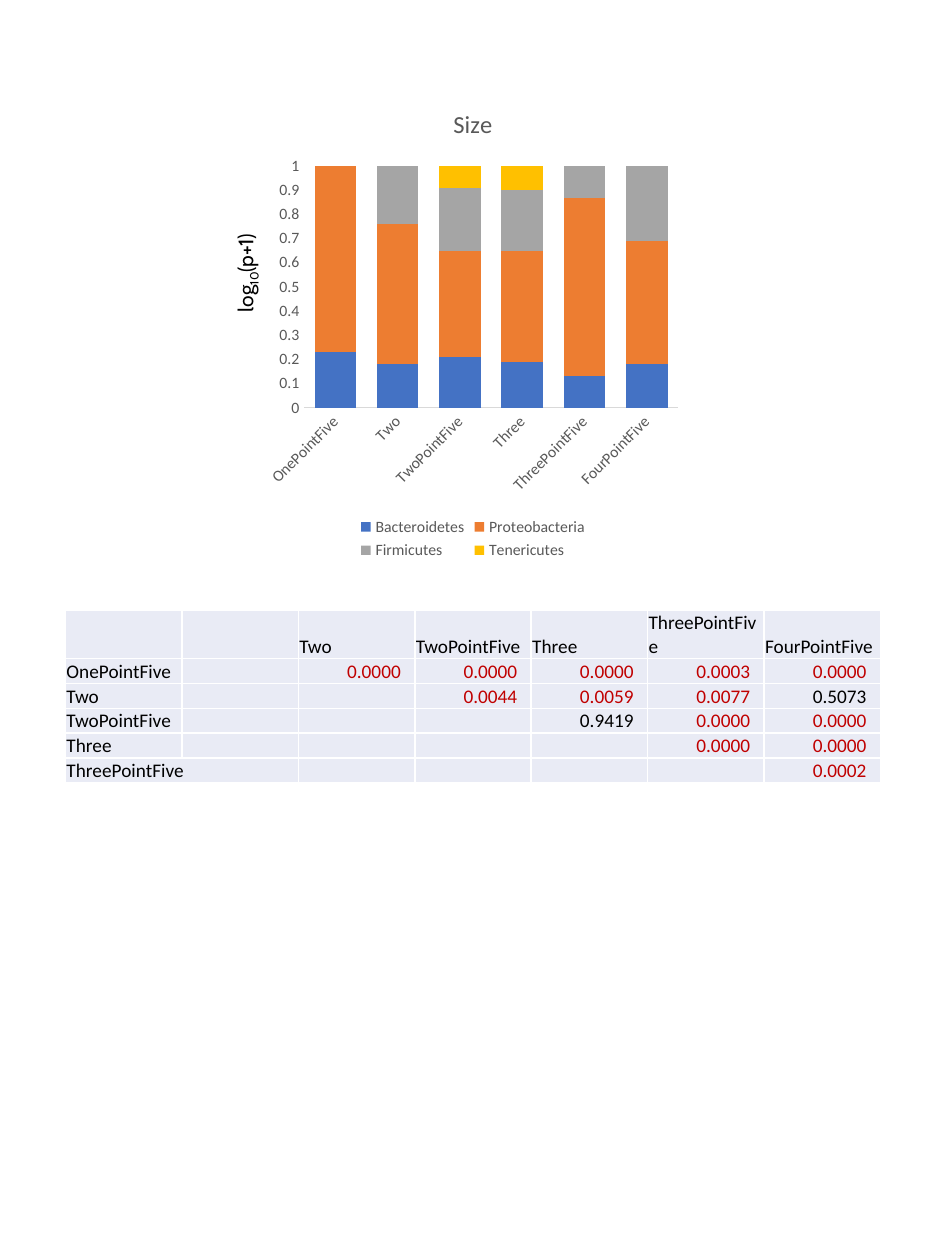
from collections import namedtuple
from dataclasses import dataclass

from pptx import Presentation
from pptx.chart.data import CategoryChartData
from pptx.dml.color import RGBColor
from pptx.enum.chart import XL_CHART_TYPE as ChartType
from pptx.enum.chart import XL_LEGEND_POSITION as LegendPosition
from pptx.enum.chart import XL_TICK_MARK as TickMark
from pptx.enum.text import MSO_ANCHOR as Anchor
from pptx.enum.text import MSO_AUTO_SIZE as AutoSize
from pptx.enum.text import PP_ALIGN as Align
from pptx.oxml.ns import qn
from pptx.util import Cm, Pt

Box = namedtuple("Box", "left top width height")


@dataclass(frozen=True)
class Theme:
    body_font: str = "Calibri"
    label_font: str = "Cabin"
    ink: str = "000000"
    muted: str = "595959"
    axis_line: str = "D9D9D9"
    significant: str = "C00000"
    cell: str = "E9EBF5"
    title_size: int = 14
    label_size: int = 12
    table_size: int = 11
    axis_size: int = 9


THEME = Theme()
SIZES = ["OnePointFive", "Two", "TwoPointFive", "Three", "ThreePointFive", "FourPointFive"]
PHYLA = {
    "Bacteroidetes": ("4472C4", [23, 18, 21, 19, 13, 18]),
    "Proteobacteria": ("ED7D31", [77, 58, 44, 46, 73, 51]),
    "Firmicutes": ("A5A5A5", [0, 24, 26, 25, 13, 31]),
    "Tenericutes": ("FFC000", [0, 0, 9, 10, 0, 0]),
}
# Each row starts at the first size larger than its own.
P_VALUES = [
    [0.0000, 0.0000, 0.0000, 0.0003, 0.0000],
    [0.0044, 0.0059, 0.0077, 0.5073],
    [0.9419, 0.0000, 0.0000],
    [0.0000, 0.0000],
    [0.0002],
]
SIGNIFICANCE = 0.05


def style_font(font, size, color, name=THEME.body_font):
    font.name = name
    font.size = Pt(size)
    font.color.rgb = RGBColor.from_string(color)


def add_size_chart(slide, box):
    data = CategoryChartData()
    data.categories = SIZES
    for name, (_, values) in PHYLA.items():
        data.add_series(name, values)
    chart = slide.shapes.add_chart(ChartType.COLUMN_STACKED_100, *box, data).chart
    style_font(chart.font, THEME.axis_size, THEME.muted)

    title = chart.chart_title.text_frame.paragraphs[0].add_run()
    title.text = "Size"
    title.font.bold = False
    style_font(title.font, THEME.title_size, THEME.muted)

    plot = chart.plots[0]
    plot.gap_width, plot.overlap, plot.vary_by_categories = 50, 100, False
    for series, (color, _) in zip(plot.series, PHYLA.values()):
        series.format.fill.solid()
        series.format.fill.fore_color.rgb = RGBColor.from_string(color)

    category_axis, value_axis = chart.category_axis, chart.value_axis
    for axis in (category_axis, value_axis):
        axis.major_tick_mark = axis.minor_tick_mark = TickMark.NONE
        axis.has_major_gridlines = False
        style_font(axis.tick_labels.font, THEME.axis_size, THEME.muted)
    category_axis.format.line.color.rgb = RGBColor.from_string(THEME.axis_line)
    category_axis.format.line.width = Pt(0.75)
    category_labels = category_axis._element.find(qn("c:txPr"))
    category_labels.find(qn("a:bodyPr")).set("rot", str(-45 * 60000))
    value_axis.format.line.fill.background()
    value_axis.tick_labels.number_format = "General"
    value_axis.tick_labels.number_format_is_linked = False

    chart.has_legend = True
    chart.legend.position = LegendPosition.BOTTOM
    chart.legend.include_in_layout = False
    style_font(chart.legend.font, THEME.axis_size, THEME.muted)


def add_axis_label(slide, box):
    label = slide.shapes.add_textbox(*box)
    label.rotation = 270
    frame = label.text_frame
    frame.word_wrap = False
    frame.auto_size = AutoSize.SHAPE_TO_FIT_TEXT
    for text, baseline in (("log", 0), ("10", -25000), ("(p+1)", 0)):
        run = frame.paragraphs[0].add_run()
        run.text = text
        style_font(run.font, THEME.label_size, THEME.ink, THEME.label_font)
        run._r.get_or_add_rPr().set("baseline", str(baseline))


def fill_cell(cell, content):
    """Write a size name, a p-value or nothing (None) into a cell."""
    cell.fill.solid()
    cell.fill.fore_color.rgb = RGBColor.from_string(THEME.cell)
    cell.vertical_anchor = Anchor.BOTTOM
    cell.margin_left = cell.margin_right = cell.margin_top = Cm(0.02)
    cell.margin_bottom = 0
    paragraph = cell.text_frame.paragraphs[0]
    if content is None:
        # Keeps an empty cell from stretching its row.
        end = paragraph._p.get_or_add_endParaRPr()
        end.set("sz", str(THEME.table_size * 100))
        return
    run = paragraph.add_run()
    color = THEME.ink
    if isinstance(content, float):
        run.text = f"{content:.4f}"
        paragraph.alignment = Align.RIGHT
        cell.margin_right = Cm(0.28)
        if content < SIGNIFICANCE:
            color = THEME.significant
    else:
        run.text = content
    style_font(run.font, THEME.table_size, color)


def add_p_value_table(slide, box):
    header = [None, None, *SIZES[1:]]
    rows = [header] + [
        [name, None] + [None] * index + values
        for index, (name, values) in enumerate(zip(SIZES, P_VALUES))
    ]
    table = slide.shapes.add_table(len(rows), len(header), *box).table
    table.first_row = table.horz_banding = False
    for column in table.columns:
        column.width = int(box.width / len(header))
    body_height = Cm(0.5)
    for row in table.rows:
        row.height = body_height
    table.rows[0].height = box.height - body_height * len(P_VALUES)
    for row_index, row in enumerate(rows):
        for column_index, content in enumerate(row):
            fill_cell(table.cell(row_index, column_index), content)
    last = len(rows) - 1
    table.cell(last, 0).merge(table.cell(last, 1))


def main():
    presentation = Presentation()
    presentation.slide_width, presentation.slide_height = Cm(19.05), Cm(25.4)
    slide = presentation.slides.add_slide(presentation.slide_layouts[6])
    add_size_chart(slide, Box(Cm(5.23), Cm(1.73), Cm(8.61), Cm(9.65)))
    add_p_value_table(slide, Box(Cm(1.32), Cm(12.3), Cm(16.43), Cm(3.44)))
    add_axis_label(slide, Box(Cm(3.76), Cm(4.98), Cm(2.36), Cm(0.76)))
    presentation.save("out.pptx")


if __name__ == "__main__":
    main()
